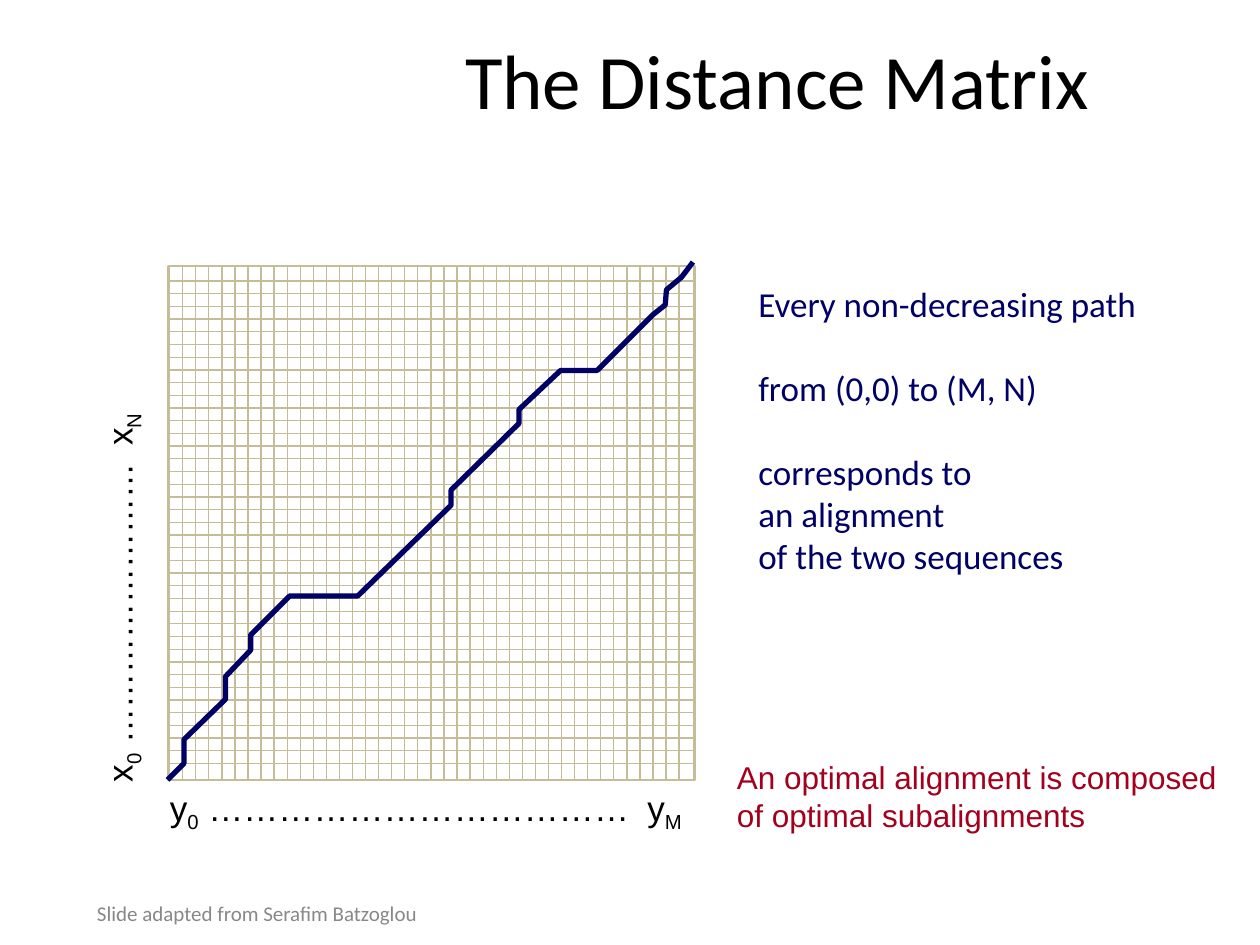
"""Build the slide on the distance matrix and its alignment path."""
import pptx
import pptx.dml.color
import pptx.enum.shapes
import pptx.enum.text
import pptx.util
from lxml import etree
from pptx.oxml.ns import qn

Inches = pptx.util.Inches
Pt = pptx.util.Pt
CENTER = pptx.enum.text.PP_ALIGN.CENTER
MIDDLE = pptx.enum.text.MSO_ANCHOR.MIDDLE

BLACK, GRAY, TAN, NAVY, RED = "000000", "888888", "C4BD97", "000066", "A4001D"

GRID_LEFT, GRID_TOP, GRID_WIDTH, GRID_HEIGHT = 1.34, 2.11, 4.17, 4.08
LINE_COUNT = 39
FIRST_ROW, LAST_ROW = 2.23, 6.06
FIRST_COLUMN, LAST_COLUMN = 1.45, 5.39

ALIGNMENT_PATH = [
    (1.33, 6.19), (1.46, 6.06), (1.46, 5.87), (1.79, 5.55), (1.79, 5.37),
    (1.99, 5.16), (1.99, 5.04), (2.3, 4.73), (2.84, 4.73), (3.58, 4.01),
    (3.58, 3.89), (4.12, 3.36), (4.12, 3.25), (4.45, 2.94), (4.74, 2.94),
    (5.18, 2.5), (5.28, 2.42), (5.29, 2.3), (5.41, 2.2), (5.5, 2.08),
]

TEXTS = [
    dict(box=(1.92, 0, 8.5, 1.25), size=44, name="Calibri", color=BLACK,
         align=CENTER, anchor=MIDDLE, lines=[("The Distance Matrix", 0)]),
    dict(box=(0.25, 7, 3.58, 0.5), size=12, name="Calibri", color=GRAY,
         align=CENTER, anchor=MIDDLE,
         lines=[("Slide adapted from Serafim Batzoglou", 0)]),
    dict(box=(5.92, 2.19, 3.67, 2.86), size=20, name="Calibri", color=NAVY,
         lines=[("Every non-decreasing path", 0), ("from (0,0) to (M, N)", 24),
                ("corresponds to", 24), ("an alignment", 0),
                ("of the two sequences", 0)]),
    dict(box=(5.75, 5.97, 4.16, 0.71), size=18, name="Arial", color=RED,
         lines=[("An optimal alignment is composed of optimal subalignments", 0)]),
]

AXES = [
    dict(box=(1.25, 6.19, 4.34, 0.44), rotation=0, tab=3.79,
         runs=["y", "0", " ………………………………\ty", "M"]),
    dict(box=(-1.22, 3.92, 4.33, 0.44), rotation=270, tab=2.67,
         runs=["x", "0", " ……………………\tx", "N"]),
]


def rgb(value):
    return pptx.dml.color.RGBColor.from_string(value)


def set_font(paragraph, name, size, color):
    paragraph.font.name = name
    paragraph.font.size = Pt(size)
    paragraph.font.color.rgb = rgb(color)


def set_line(shape, color, width):
    shape.line.color.rgb = rgb(color)
    shape.line.width = Pt(width)


def add_box(slide, box):
    shape = slide.shapes.add_textbox(*map(Inches, box))
    shape.text_frame.word_wrap = True
    return shape


def add_text(slide, box, size, name, color, lines, align=None, anchor=None):
    frame = add_box(slide, box).text_frame
    frame.vertical_anchor = anchor
    for index, (text, space) in enumerate(lines):
        paragraph = frame.add_paragraph() if index else frame.paragraphs[0]
        paragraph.text = text
        paragraph.alignment = align
        paragraph.space_before = Pt(space)
        set_font(paragraph, name, size, color)


def add_axis(slide, box, rotation, tab, runs):
    shape = add_box(slide, box)
    shape.rotation = rotation
    paragraph = shape.text_frame.paragraphs[0]
    tabs = etree.SubElement(paragraph._p.get_or_add_pPr(), qn("a:tabLst"))
    etree.SubElement(tabs, qn("a:tab"), pos=str(Inches(tab)), algn="l")
    set_font(paragraph, "Arial", 20, BLACK)
    for index, text in enumerate(runs):
        run = paragraph.add_run()
        run.text = text
        if index % 2:
            run._r.get_or_add_rPr().set("baseline", "-25000")


def add_grid_line(slide, *ends):
    line = slide.shapes.add_connector(
        pptx.enum.shapes.MSO_CONNECTOR.STRAIGHT, *map(Inches, ends))
    set_line(line, TAN, 0.75)
    etree.SubElement(line._element.spPr, qn("a:effectLst"))


def add_grid(slide):
    frame = slide.shapes.add_shape(
        pptx.enum.shapes.MSO_SHAPE.RECTANGLE,
        *map(Inches, (GRID_LEFT, GRID_TOP, GRID_WIDTH, GRID_HEIGHT)))
    frame.shadow.inherit = False
    frame.fill.background()
    set_line(frame, TAN, 1.5)
    for index in range(LINE_COUNT):
        share = index / (LINE_COUNT - 1)
        y = FIRST_ROW + share * (LAST_ROW - FIRST_ROW)
        x = FIRST_COLUMN + share * (LAST_COLUMN - FIRST_COLUMN)
        add_grid_line(slide, GRID_LEFT, y, GRID_LEFT + GRID_WIDTH, y)
        add_grid_line(slide, x, GRID_TOP + GRID_HEIGHT, x, GRID_TOP)


def add_alignment_path(slide):
    points = [(Inches(x), Inches(y)) for x, y in ALIGNMENT_PATH]
    builder = slide.shapes.build_freeform(*points[0])
    builder.add_line_segments(points[1:], close=False)
    shape = builder.convert_to_shape()
    shape.shadow.inherit = False
    shape.fill.background()
    set_line(shape, NAVY, 3)


def main():
    presentation = pptx.Presentation()
    presentation.slide_width = Inches(10)
    presentation.slide_height = Inches(7.5)
    slide = presentation.slides.add_slide(presentation.slide_layouts[6])
    add_grid(slide)
    add_alignment_path(slide)
    for axis in AXES:
        add_axis(slide, **axis)
    for text in TEXTS:
        add_text(slide, **text)
    presentation.save("out.pptx")


if __name__ == "__main__":
    main()
